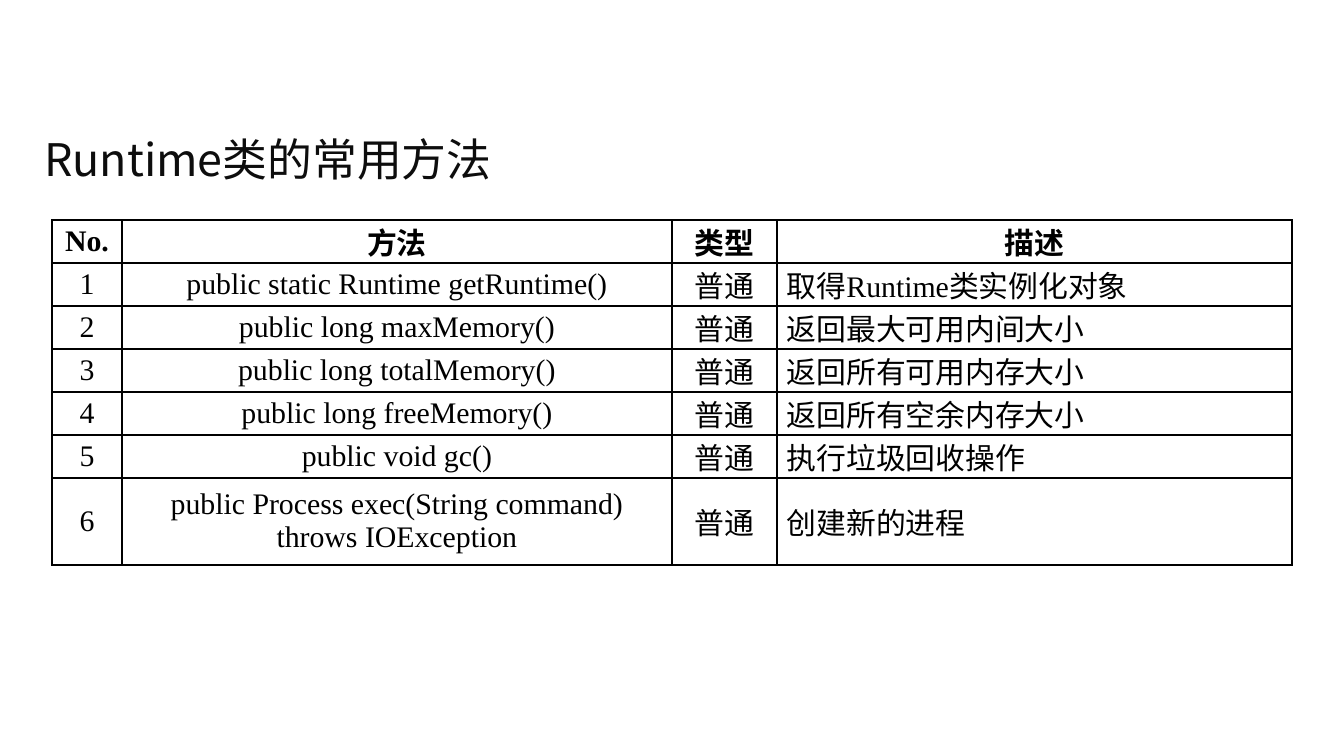
from typing import NamedTuple

from lxml import etree
from pptx import Presentation
from pptx import util as u
from pptx.dml.color import RGBColor
from pptx.enum import text
from pptx.oxml.ns import qn

EMU_PER_PX = 9144000 / 1344
CJK_FONT = "Noto Sans CJK SC"
LATIN_FONT = "Times New Roman"
BLACK = "000000"
COLUMN_WIDTHS = (70, 550, 105, 515)
LINE_HEIGHT = 43
LAST_ROW_HEIGHT = 87


class Method(NamedTuple):
    number: str
    signature: str
    kind: str
    description: str


HEADER = Method("No.", "方法", "类型", "描述")
METHODS = [
    Method("1", "public static Runtime getRuntime()", "普通", "取得Runtime类实例化对象"),
    Method("2", "public long maxMemory()", "普通", "返回最大可用内间大小"),
    Method("3", "public long totalMemory()", "普通", "返回所有可用内存大小"),
    Method("4", "public long freeMemory()", "普通", "返回所有空余内存大小"),
    Method("5", "public void gc()", "普通", "执行垃圾回收操作"),
    Method("6", "public Process exec(String command) throws IOException", "普通", "创建新的进程"),
]


def px(length: int) -> u.Emu:
    return u.Emu(round(length * EMU_PER_PX))


def color(value: str) -> RGBColor:
    return RGBColor.from_string(value)


def format_run(run, font_name: str, size: int, fill: str, bold: bool = False) -> None:
    run.font.name = font_name
    run.font.size = u.Pt(size)
    run.font.bold = bold
    run.font.color.rgb = color(fill)
    east_asian = etree.SubElement(run.font._element, qn("a:ea"))
    east_asian.set("typeface", CJK_FONT)


def add_borders(cell, line_color: str) -> None:
    properties = cell._tc.get_or_add_tcPr()
    for position, side in enumerate(("lnL", "lnR", "lnT", "lnB")):
        line = etree.Element(qn(f"a:{side}"), w=str(u.Pt(1)))
        fill = etree.SubElement(line, qn("a:solidFill"))
        etree.SubElement(fill, qn("a:srgbClr"), val=line_color)
        properties.insert(position, line)


def fill_cell(cell, content: str, alignment, bold: bool) -> None:
    cell.fill.background()
    add_borders(cell, BLACK)
    cell.margin_left = cell.margin_right = px(10)
    cell.margin_top = cell.margin_bottom = 0
    cell.vertical_anchor = text.MSO_ANCHOR.MIDDLE
    paragraph = cell.text_frame.paragraphs[0]
    paragraph.text = content
    paragraph.alignment = alignment
    format_run(paragraph.runs[0], LATIN_FONT, 16, BLACK, bold)


def add_title(slide, content: str) -> None:
    title = slide.shapes.add_textbox(px(31), px(116), px(1281), px(86))
    frame = title.text_frame
    frame.word_wrap = True
    frame.vertical_anchor = text.MSO_ANCHOR.MIDDLE
    frame.text = content
    format_run(frame.paragraphs[0].runs[0], CJK_FONT, 24, "0D0D0D")


def add_method_table(slide, rows: list[Method]) -> None:
    heights = [LINE_HEIGHT] * (len(rows) - 1) + [LAST_ROW_HEIGHT]
    table = slide.shapes.add_table(
        len(rows), len(COLUMN_WIDTHS), px(52), px(220),
        px(sum(COLUMN_WIDTHS)), px(sum(heights)),
    ).table
    table.first_row = table.horz_banding = False
    for column, width in zip(table.columns, COLUMN_WIDTHS):
        column.width = px(width)
    for row, height in zip(table.rows, heights):
        row.height = px(height)
    for row_index, method in enumerate(rows):
        is_header = row_index == 0
        for column_index, content in enumerate(method):
            is_description = column_index == len(method) - 1
            alignment = (
                text.PP_ALIGN.JUSTIFY if is_description and not is_header
                else text.PP_ALIGN.CENTER
            )
            fill_cell(table.cell(row_index, column_index), content, alignment, is_header)


def main() -> None:
    presentation = Presentation()
    presentation.slide_width = px(1344)
    presentation.slide_height = px(756)
    slide = presentation.slides.add_slide(presentation.slide_layouts[6])
    add_title(slide, "Runtime类的常用方法")
    add_method_table(slide, [HEADER, *METHODS])
    presentation.save("out.pptx")


if __name__ == "__main__":
    main()
